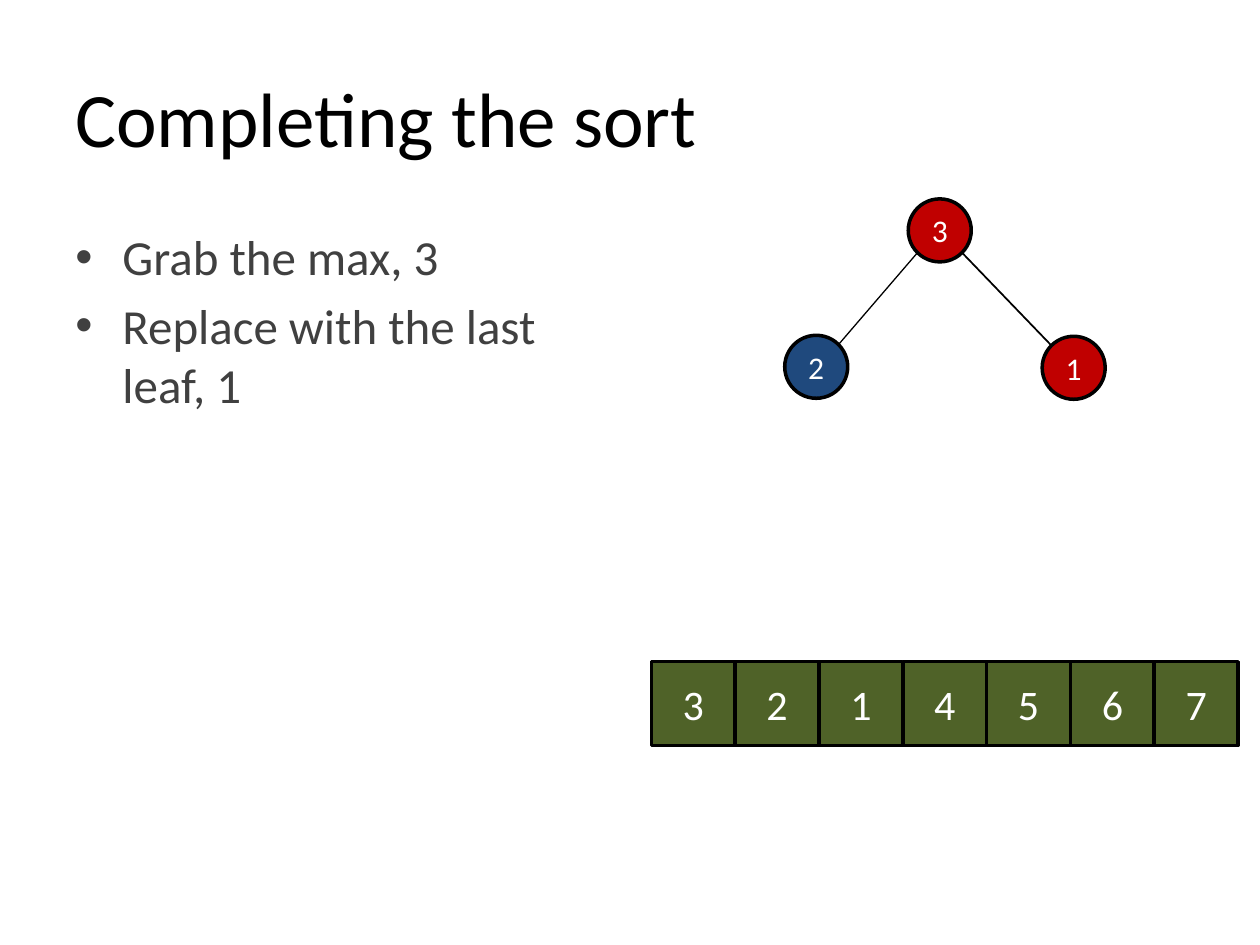
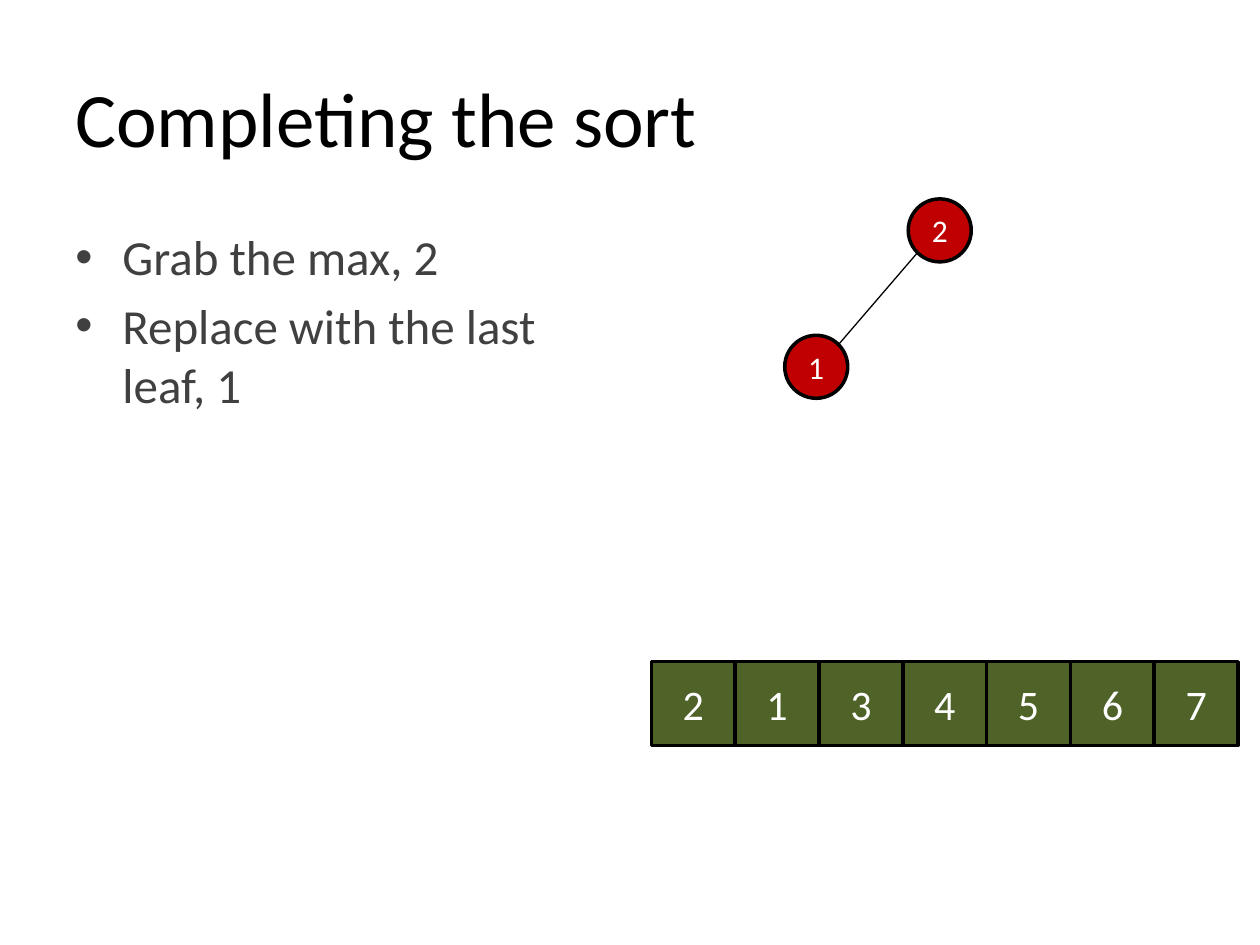
from dataclasses import dataclass

from lxml.etree import SubElement
from pptx import Presentation
from pptx.dml.color import RGBColor
from pptx.enum.shapes import MSO_CONNECTOR, MSO_SHAPE
from pptx.enum.text import MSO_ANCHOR, PP_ALIGN
from pptx.oxml.ns import qn
from pptx.shapes.autoshape import Shape
from pptx.slide import Slide
from pptx.util import Cm, Pt

BLACK = RGBColor(0x00, 0x00, 0x00)
WHITE = RGBColor(0xFF, 0xFF, 0xFF)
GREY = RGBColor(0x40, 0x40, 0x40)
RED = RGBColor(0xC0, 0x00, 0x00)
BLUE = RGBColor(0x1F, 0x49, 0x7D)
GREEN = RGBColor(0x4F, 0x62, 0x28)

FONT = "Calibri"
TITLE = "Completing the sort"
MARGIN = Cm(1.27)
BULLET_INDENT = Cm(0.95)
NODE_SIZE = Cm(1.27)
NODE_CORNER = int(NODE_SIZE * (1 - 0.5 ** 0.5) / 2)
CELL_SIZE = Cm(1.69)
ARRAY_LEFT = Cm(13.13)
ARRAY_TOP = Cm(13.34)


@dataclass(frozen=True)
class Position:
    left: Cm
    top: Cm


@dataclass(frozen=True)
class Node:
    label: str
    color: RGBColor


@dataclass(frozen=True)
class HeapStep:
    bullets: list[str]
    root: Node
    left_child: Node
    right_child: Node | None
    array: str


ROOT = Position(Cm(18.31), Cm(4.01))
LEFT_CHILD = Position(Cm(15.82), Cm(6.76))
RIGHT_CHILD = Position(Cm(21.01), Cm(6.78))

STEPS = [
    HeapStep(
        ["Grab the max, 3", "Replace with the last leaf, 1"],
        Node("3", RED), Node("2", BLUE), Node("1", RED), "3214567",
    ),
    HeapStep(
        ["Grab the max, 2", "Replace with the last leaf, 1"],
        Node("2", RED), Node("1", RED), None, "2134567",
    ),
]


def write_text(shape: Shape, *lines: str, size: float, color: RGBColor,
               align: PP_ALIGN = PP_ALIGN.LEFT,
               anchor: MSO_ANCHOR = MSO_ANCHOR.MIDDLE,
               bulleted: bool = False) -> None:
    frame = shape.text_frame
    frame.word_wrap = True
    frame.vertical_anchor = anchor
    frame.text = "\n".join(lines)
    for paragraph in frame.paragraphs:
        paragraph.alignment = align
        paragraph.font.name = FONT
        paragraph.font.size = Pt(size)
        paragraph.font.color.rgb = color
        if bulleted:
            paragraph.space_before = Pt(size * 0.2)
            properties = paragraph._p.get_or_add_pPr()
            properties.set("marL", str(BULLET_INDENT))
            properties.set("indent", str(-BULLET_INDENT))
            bullet_font = SubElement(properties, qn("a:buFont"), typeface="Arial")
            bullet_font.addnext(properties.makeelement(qn("a:buChar"), {"char": "•"}))
            default_run = properties.find(qn("a:defRPr"))
            if default_run is not None:
                properties.append(default_run)


def add_box(slide: Slide, kind: MSO_SHAPE, position: Position, side: Cm,
            label: str, fill: RGBColor, size: float) -> None:
    shape = slide.shapes.add_shape(kind, position.left, position.top, side, side)
    shape.shadow.inherit = False
    shape.fill.solid()
    shape.fill.fore_color.rgb = fill
    shape.line.color.rgb = BLACK
    shape.line.width = Pt(2)
    write_text(shape, label, size=size, color=WHITE, align=PP_ALIGN.CENTER)


def add_node(slide: Slide, node: Node, position: Position) -> None:
    add_box(slide, MSO_SHAPE.OVAL, position, NODE_SIZE, node.label, node.color, 18)


def add_edge(slide: Slide, parent: Position, child: Position, width: float) -> None:
    near, far = NODE_CORNER, NODE_SIZE - NODE_CORNER
    begin_offset, end_offset = (near, far) if child.left < parent.left else (far, near)
    connector = slide.shapes.add_connector(
        MSO_CONNECTOR.STRAIGHT,
        parent.left + begin_offset, parent.top + far,
        child.left + end_offset, child.top + near,
    )
    connector.line.color.rgb = BLACK
    connector.line.width = Pt(width)
    SubElement(connector._element.spPr, qn("a:effectLst"))


def add_heap(slide: Slide, step: HeapStep) -> None:
    add_node(slide, step.left_child, LEFT_CHILD)
    add_node(slide, step.root, ROOT)
    add_edge(slide, ROOT, LEFT_CHILD, 0.75)
    if step.right_child:
        add_node(slide, step.right_child, RIGHT_CHILD)
        add_edge(slide, ROOT, RIGHT_CHILD, 1)


def add_array(slide: Slide, values: str) -> None:
    for index, value in enumerate(values):
        position = Position(ARRAY_LEFT + index * CELL_SIZE, ARRAY_TOP)
        add_box(slide, MSO_SHAPE.RECTANGLE, position, CELL_SIZE, value, GREEN, 24)


def add_step_slide(presentation: Presentation, step: HeapStep) -> None:
    slide = presentation.slides.add_slide(presentation.slide_layouts[6])
    title = slide.shapes.add_textbox(MARGIN, Cm(0.76), Cm(22.86), Cm(3.18))
    write_text(title, TITLE, size=44, color=BLACK)
    body = slide.shapes.add_textbox(MARGIN, Cm(4.45), Cm(11.23), Cm(14.4))
    write_text(body, *step.bullets, size=28, color=GREY,
               anchor=MSO_ANCHOR.TOP, bulleted=True)
    add_heap(slide, step)
    add_array(slide, step.array)


def main() -> None:
    presentation = Presentation()
    presentation.slide_width = Cm(25.4)
    presentation.slide_height = Cm(19.05)
    for step in STEPS:
        add_step_slide(presentation, step)
    presentation.save("out.pptx")


if __name__ == "__main__":
    main()
